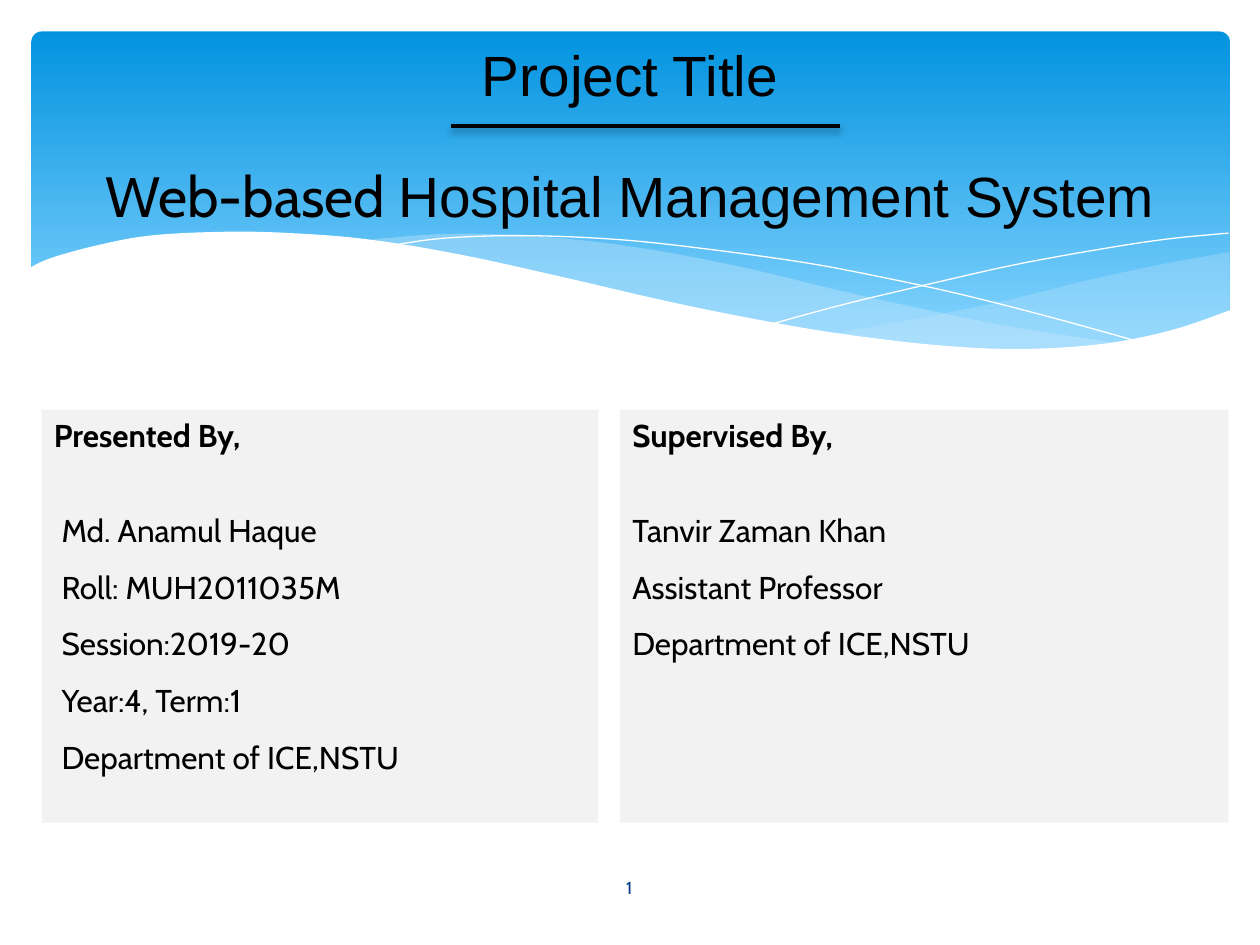
from dataclasses import dataclass
from lxml.etree import SubElement
from pptx import Presentation
from pptx.dml.color import RGBColor
from pptx.enum.shapes import MSO_CONNECTOR, MSO_SHAPE
from pptx.enum.text import MSO_ANCHOR, PP_ALIGN
from pptx.oxml.ns import qn
from pptx.util import Inches, Pt


@dataclass(frozen=True)
class Theme:
    deep: str = "0293E0"
    sky: str = "83D3FE"
    mist: str = "C6E7FC"
    white: str = "FFFFFF"
    black: str = "000000"
    panel: str = "F2F2F2"
    navy: str = "073E87"
    head: str = "Arial"
    body: str = "Cabin"
    large: float = 32.4
    mid: float = 18
    small: float = 10


THEME = Theme()

RIGHT_TOP = [(9.76, 2), (9.21, 2.1), (8.61, 2.23), (8.05, 2.37),
             (7.53, 2.48), (7.06, 2.57), (6.61, 2.65)]
RIGHT_LOW = [(6.61, 2.65), (7.05, 2.71), (7.57, 2.76), (8.03, 2.78),
             (8.54, 2.76), (8.97, 2.7), (9.42, 2.59), (9.76, 2.47)]
LONG_TOP = [(8.93, 2.73), (8.07, 2.6), (7.41, 2.47), (6.68, 2.31),
            (5.98, 2.14), (5.28, 2), (4.65, 1.91), (3.99, 1.86),
            (3.44, 1.86), (2.86, 1.91)]
LONG_LOW = [(2.86, 1.91), (3.42, 1.99), (4.04, 2.11), (4.49, 2.22),
            (5.3, 2.4), (6.01, 2.55), (6.65, 2.66), (7.22, 2.74),
            (7.85, 2.78), (8.38, 2.78), (8.93, 2.73)]
FALL = [(3.09, 1.95), (3.53, 1.89), (4.16, 1.87), (4.89, 1.9),
        (5.56, 1.97), (6.36, 2.08), (6.95, 2.19), (7.6, 2.33),
        (8.31, 2.51), (9.07, 2.72)]
RISE = [(6.13, 2.57), (6.72, 2.41), (7.48, 2.23), (8.06, 2.1),
        (8.66, 1.99), (9.24, 1.9), (9.75, 1.85)]
EDGE = [(9.77, 2.46), (9.3, 2.62), (8.75, 2.73), (8.09, 2.77),
        (7.44, 2.74), (6.68, 2.65), (6.03, 2.54), (5.29, 2.39),
        (4.47, 2.2), (3.65, 2.02), (2.92, 1.9), (2.3, 1.85),
        (1.77, 1.84), (1.19, 1.87), (0.76, 1.95), (0.4, 2.05), (0.23, 2.13)]


def tint(fill, color, alpha=None):
    fill.solid()
    fill.fore_color.rgb = RGBColor.from_string(color)
    if alpha is not None:
        node = fill._xPr.find(qn("a:solidFill"))[0]
        SubElement(node, qn("a:alpha"), val=str(alpha * 1000))


def curve(keys, steps=6):
    ends = [keys[0], *keys, keys[-1]]
    dots = [keys[0]]
    for a, b, c, d in zip(ends, ends[1:], ends[2:], ends[3:]):
        for step in range(1, steps + 1):
            t = step / steps
            dots.append(tuple(
                q + t / 2 * (r - p + t * (2 * p - 5 * q + 4 * r - s
                                          + t * (3 * (q - r) + s - p)))
                for p, q, r, s in zip(a, b, c, d)))
    return dots


def trace(slide, dots, close):
    spots = [(Inches(x), Inches(y)) for x, y in dots]
    build = slide.shapes.build_freeform(*spots[0])
    build.add_line_segments(spots[1:], close=close)
    shape = build.convert_to_shape()
    shape.shadow.inherit = False
    return shape


def add_wave(slide, dots, color, alpha=None):
    shape = trace(slide, dots, True)
    tint(shape.fill, color, alpha)
    shape.line.fill.background()


def add_thread(slide, keys):
    shape = trace(slide, curve(keys), False)
    shape.fill.background()
    shape.line.width = Pt(0)
    tint(shape.line.fill, THEME.white)


def add_block(slide, kind, box):
    shape = slide.shapes.add_shape(kind, *map(Inches, box))
    shape.shadow.inherit = False
    shape.line.fill.background()
    return shape


def add_banner(slide):
    shape = add_block(slide, MSO_SHAPE.ROUNDED_RECTANGLE, (0.25, 0.25, 9.51, 2.7))
    shape.adjustments[0] = 0.03
    shape.fill.gradient()
    shape.fill.gradient_angle = 270
    looks = [(0, THEME.deep), (0.9, THEME.sky)]
    for stop, (place, color) in zip(shape.fill.gradient_stops, looks):
        stop.position = place
        stop.color.rgb = RGBColor.from_string(color)


def add_rule(slide, left, right, top):
    rule = slide.shapes.add_connector(
        MSO_CONNECTOR.STRAIGHT, *map(Inches, (left, top, right, top)))
    rule.line.width = Pt(2)
    tint(rule.line.fill, THEME.black)
    effect = SubElement(rule._element.spPr, qn("a:effectLst"))
    shade = SubElement(effect, qn("a:outerShdw"), blurRad=str(Pt(4)),
                       dist=str(Pt(2)), dir="5400000", rotWithShape="0")
    color = SubElement(shade, qn("a:srgbClr"), val=THEME.black)
    SubElement(color, qn("a:alpha"), val="38000")


def add_text(para, text, font=THEME.body, size=THEME.mid, color=THEME.black,
             bold=False, align=PP_ALIGN.LEFT, space=1, gap=0, inset=0):
    para.alignment = align
    para.line_spacing = space
    para.space_before = Pt(gap)
    para._p.get_or_add_pPr().set("marL", str(Inches(inset)))
    run = para.add_run()
    run.text = text
    run.font.name = font
    run.font.size = Pt(size)
    run.font.bold = bold
    run.font.color.rgb = RGBColor.from_string(color)


def add_box(slide, box):
    frame = slide.shapes.add_textbox(*map(Inches, box)).text_frame
    frame.word_wrap = True
    frame.vertical_anchor = MSO_ANCHOR.MIDDLE
    return frame


def add_title(slide):
    frame = add_box(slide, (0.5, 0.37, 9, 1.46))
    look = dict(size=THEME.large, align=PP_ALIGN.CENTER, space=0.9)
    add_text(frame.paragraphs[0], "Project Title", font=THEME.head, **look)
    para = frame.add_paragraph()
    add_text(para, "Web-based ", gap=34, **look)
    add_text(para, "Hospital Management System", font=THEME.head, gap=34, **look)


def add_panel(slide, left, width, head, lines, inset=0):
    shape = add_block(slide, MSO_SHAPE.RECTANGLE, (left, 3.25, width, 3.28))
    tint(shape.fill, THEME.panel)
    frame = shape.text_frame
    frame.word_wrap = True
    frame.vertical_anchor = MSO_ANCHOR.TOP
    add_text(frame.paragraphs[0], head, bold=True)
    for row, line in enumerate(lines):
        add_text(frame.add_paragraph(), line, space=1.5,
                 gap=0 if row else 22, inset=inset)


def main():
    deck = Presentation()
    deck.slide_width, deck.slide_height = Inches(10), Inches(7.5)
    slide = deck.slides.add_slide(deck.slide_layouts[6])
    add_banner(slide)
    add_wave(slide, curve(RIGHT_TOP) + curve(RIGHT_LOW), THEME.mist, 29)
    add_wave(slide, curve(LONG_TOP) + curve(LONG_LOW), THEME.mist, 40)
    add_thread(slide, FALL)
    add_thread(slide, RISE)
    add_wave(slide, curve(EDGE) + [(0.23, 3.29), (9.77, 3.29)], THEME.white)
    add_title(slide)
    add_rule(slide, 3.58, 6.67, 1)
    add_panel(slide, 0.33, 4.42, "Presented By,", [
        "Md. Anamul Haque", "Roll: MUH2011035M", "Session:2019-20",
        "Year:4, Term:1", "Department of ICE,NSTU"], inset=0.06)
    add_panel(slide, 4.92, 4.83, "Supervised By,", [
        "Tanvir Zaman Khan", "Assistant Professor", "Department of ICE,NSTU"])
    page = add_box(slide, (4.36, 6.84, 1.27, 0.4))
    add_text(page.paragraphs[0], "1", size=THEME.small, color=THEME.navy,
             align=PP_ALIGN.CENTER)
    deck.save("out.pptx")


if __name__ == "__main__":
    main()
